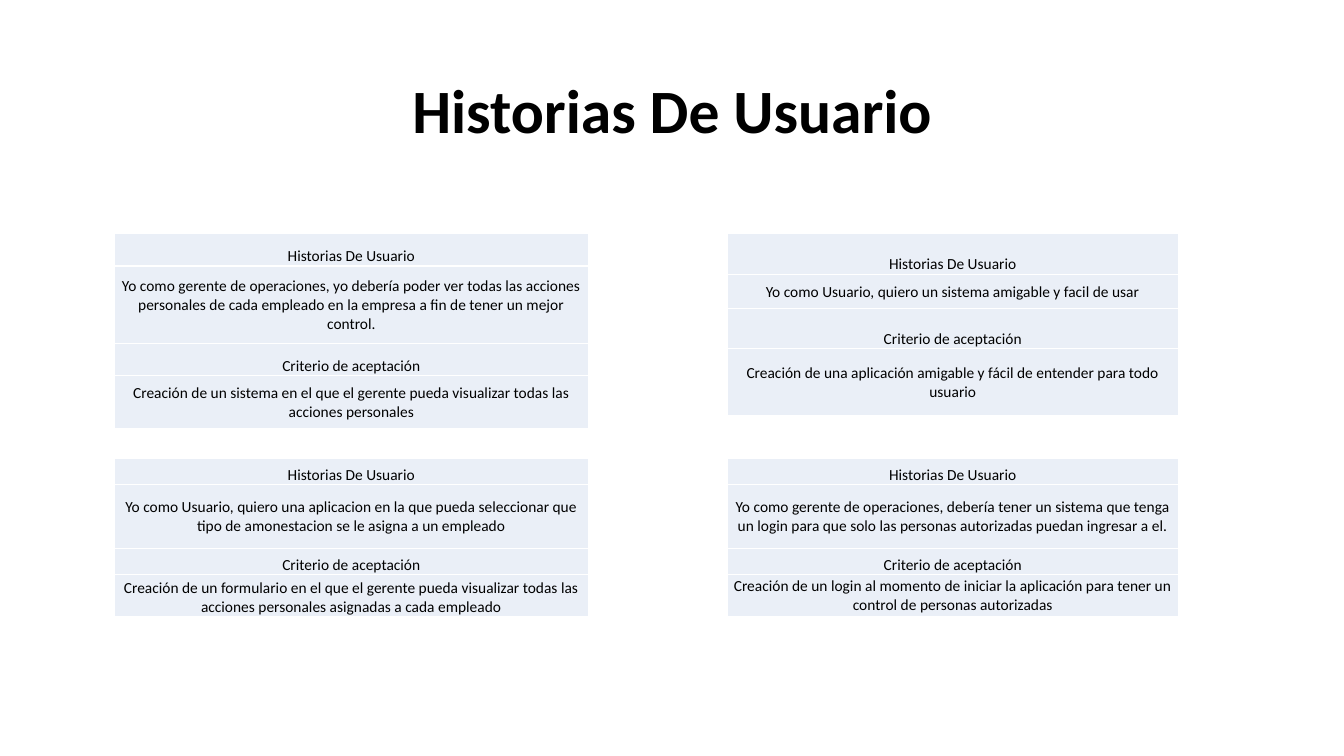
from lxml.etree import SubElement
from pptx import Presentation
from pptx.dml.color import RGBColor
from pptx.enum.text import MSO_ANCHOR, PP_ALIGN
from pptx.oxml.ns import qn
from pptx.util import Pt

PX = 9144  # 100 px to the inch
FONT = "Calibri"
BLACK = RGBColor(0x00, 0x00, 0x00)
WHITE = RGBColor(0xFF, 0xFF, 0xFF)
PALE_BLUE = RGBColor(0xEA, 0xEF, 0xF7)

TITLE = "Historias De Usuario"
STORY_HEADING = "Historias De Usuario"
CRITERION_HEADING = "Criterio de aceptación"

LEFT_COLUMN = (113, 471)  # left, width
RIGHT_COLUMN = (721, 448)
TOP_ROW, BOTTOM_ROW = 232, 455
MIDDLE, BOTTOM = MSO_ANCHOR.MIDDLE, MSO_ANCHOR.BOTTOM

# column, top, row heights, story, criterion, criterion anchor
STORIES = [
    (LEFT_COLUMN, TOP_ROW, (32, 77, 32, 52),
     "Yo como gerente de operaciones, yo debería poder ver todas las acciones "
     "personales de cada empleado en la empresa a fin de tener un mejor control.",
     "Creación de un sistema en el que el gerente pueda visualizar todas las "
     "acciones personales", MIDDLE),
    (LEFT_COLUMN, BOTTOM_ROW, (26, 63, 26, 42),
     "Yo como Usuario, quiero una aplicacion en la que pueda seleccionar que "
     "tipo de amonestacion se le asigna a un empleado",
     "Creación de un formulario en el que el gerente pueda visualizar todas las "
     "acciones personales asignadas a cada empleado", BOTTOM),
    (RIGHT_COLUMN, TOP_ROW, (40, 34, 40, 66),
     "Yo como Usuario, quiero un sistema amigable y facil de usar",
     "Creación de una aplicación amigable y fácil de entender para todo usuario",
     MIDDLE),
    (RIGHT_COLUMN, BOTTOM_ROW, (26, 63, 26, 42),
     "Yo como gerente de operaciones, debería tener un sistema que tenga un login "
     "para que solo las personas autorizadas puedan ingresar a el.",
     "Creación de un login al momento de iniciar la aplicación para tener un "
     "control de personas autorizadas", MIDDLE),
]


def write_centred(frame, text, size, bold=False):
    para = frame.paragraphs[0]
    para.alignment = PP_ALIGN.CENTER
    span = para.add_run()
    span.text = text
    span.font.name = FONT
    span.font.size = Pt(size)
    span.font.bold = bold
    span.font.color.rgb = BLACK
    return para


def add_borders(cell):
    properties = cell._tc.get_or_add_tcPr()
    for side in ("a:lnL", "a:lnR", "a:lnT", "a:lnB"):
        line = SubElement(properties, qn(side), w=str(Pt(1)))
        fill = SubElement(line, qn("a:solidFill"))
        SubElement(fill, qn("a:srgbClr"), val=str(WHITE))


def add_title(page):
    box = page.shapes.add_textbox(92 * PX, 40 * PX, 1150 * PX, 145 * PX)
    box.text_frame.word_wrap = True
    box.text_frame.vertical_anchor = MIDDLE
    para = write_centred(box.text_frame, TITLE, 44, bold=True)
    para.line_spacing = 0.9


def add_story(page, column, top, heights, story, criterion, criterion_anchor):
    left, width = column
    table = page.shapes.add_table(
        len(heights), 1, left * PX, top * PX, width * PX, sum(heights) * PX).table
    table.first_row = False
    table.horz_banding = False
    texts = (STORY_HEADING, story, CRITERION_HEADING, criterion)
    anchors = (BOTTOM, MIDDLE, BOTTOM, criterion_anchor)
    for row, height, text, anchor in zip(table.rows, heights, texts, anchors):
        row.height = height * PX
        cell = row.cells[0]
        cell.margin_left = cell.margin_right = cell.margin_top = PX
        cell.margin_bottom = 0
        cell.vertical_anchor = anchor
        add_borders(cell)
        cell.fill.solid()
        cell.fill.fore_color.rgb = PALE_BLUE
        write_centred(cell.text_frame, text, 11)


def main():
    deck = Presentation()
    deck.slide_width = 1333 * PX
    deck.slide_height = 750 * PX
    page = deck.slides.add_slide(deck.slide_layouts[6])
    add_title(page)
    for story in STORIES:
        add_story(page, *story)
    deck.save("out.pptx")


if __name__ == "__main__":
    main()
